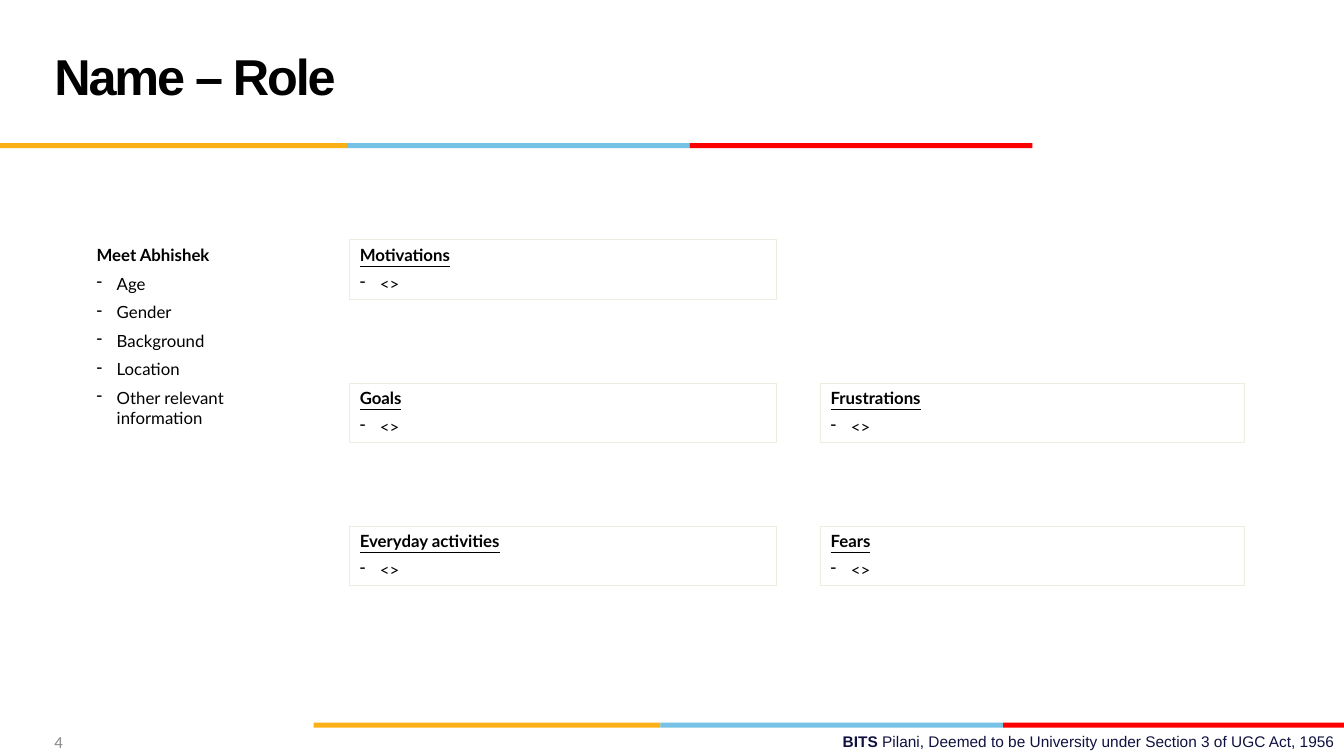
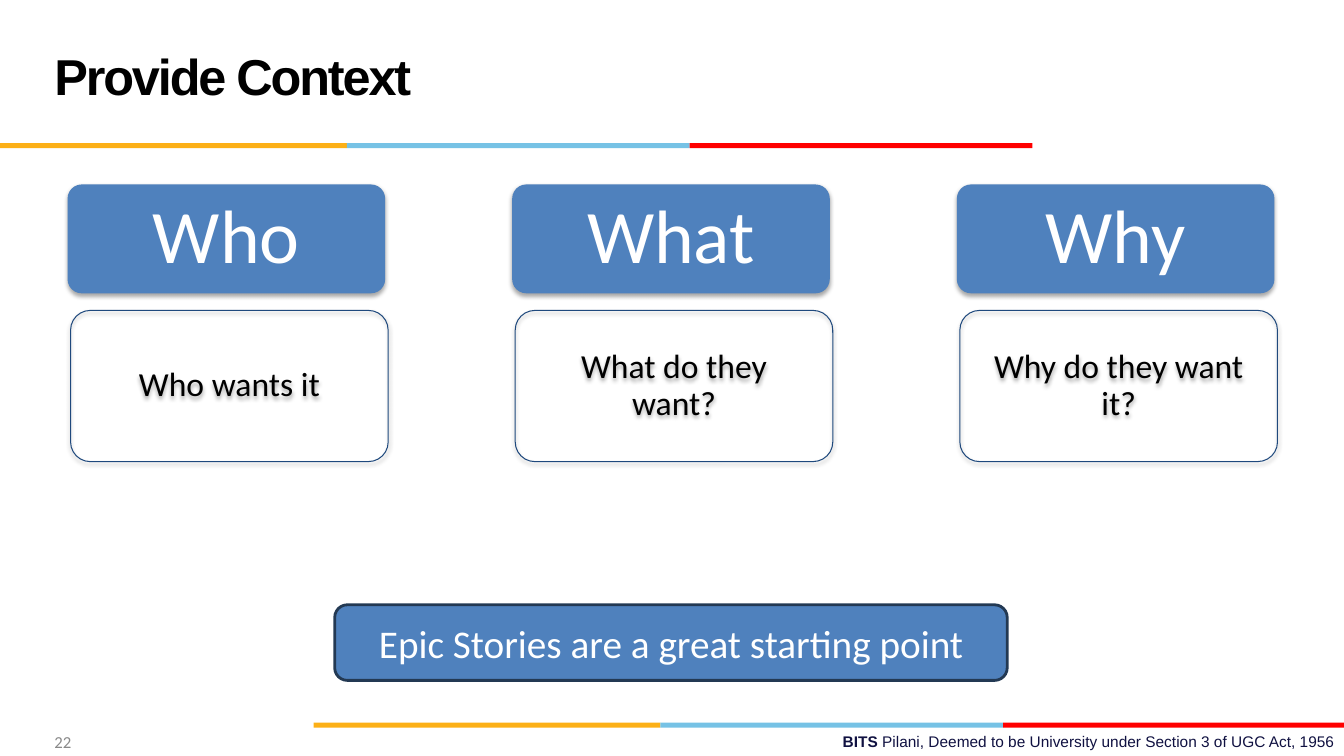
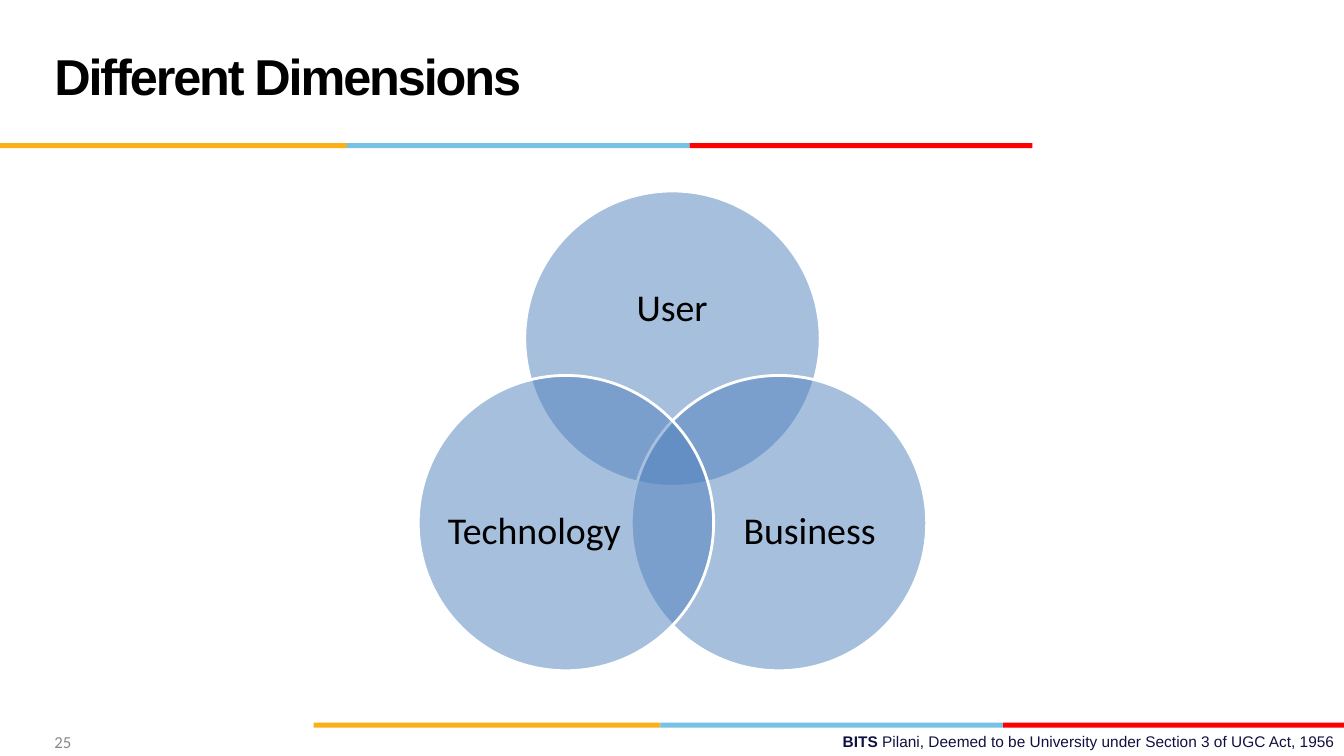
"""Builds three slides on a persona, story context and product dimensions."""
import math

from lxml import etree
from pptx import Presentation
from pptx.dml.color import RGBColor
from pptx.enum import shapes, text
from pptx.oxml.ns import qn
from pptx.util import Inches, Pt

BLACK = RGBColor(0x00, 0x00, 0x00)
WHITE = RGBColor(0xFF, 0xFF, 0xFF)
AMBER = RGBColor(0xFC, 0xB0, 0x17)
SKY = RGBColor(0x76, 0xC2, 0xE5)
RED = RGBColor(0xFF, 0x00, 0x00)
NAVY = RGBColor(0x10, 0x11, 0x41)
GREY = RGBColor(0x89, 0x89, 0x89)
IVORY = RGBColor(0xEE, 0xEC, 0xE1)
BLUE = RGBColor(0x4F, 0x81, 0xBD)
DARK_BLUE = RGBColor(0x1F, 0x49, 0x7D)
EDGE_BLUE = RGBColor(0x23, 0x39, 0x53)

RECT = shapes.MSO_SHAPE.RECTANGLE
ROUNDED = shapes.MSO_SHAPE.ROUNDED_RECTANGLE
OVAL = shapes.MSO_SHAPE.OVAL
TOP = text.MSO_ANCHOR.TOP
MIDDLE = text.MSO_ANCHOR.MIDDLE
LEFT = text.PP_ALIGN.LEFT
CENTER = text.PP_ALIGN.CENTER
RIGHT = text.PP_ALIGN.RIGHT


def add_box(s, kind, box, fill=None, line=None, weight=0.75):
    sp = s.shapes.add_shape(kind, *map(Inches, box))
    sp.shadow.inherit = False
    if fill is None:
        sp.fill.background()
    else:
        sp.fill.solid()
        sp.fill.fore_color.rgb = fill
    if line is None:
        sp.line.fill.background()
    else:
        sp.line.color.rgb = line
        sp.line.width = Pt(weight)
    return sp


def add_textbox(s, box):
    return s.shapes.add_textbox(*map(Inches, box))


def set_frame(sp, anchor, inset=None):
    tf = sp.text_frame
    tf.word_wrap = True
    tf.vertical_anchor = anchor
    if inset is not None:
        tf.margin_left = tf.margin_right = Inches(inset)
        tf.margin_top = tf.margin_bottom = Inches(inset)
    return tf


def style_run(r, size, font, color, bold=False, underline=False):
    r.font.size = Pt(size)
    r.font.name = font
    r.font.color.rgb = color
    r.font.bold = bold
    r.font.underline = underline


def write_line(sp, words, size, color, font="Calibri", align=CENTER,
               anchor=MIDDLE, inset=None, spacing=None, bold=False):
    p = set_frame(sp, anchor, inset).paragraphs[0]
    p.text = words
    p.alignment = align
    if spacing:
        p.line_spacing = spacing
    style_run(p.runs[0], size, font, color, bold)
    return p


def write_list(sp, heading, items, underline=False):
    tf = set_frame(sp, TOP)
    for i, words in enumerate([heading, *items]):
        p = tf.add_paragraph() if i else tf.paragraphs[0]
        p.text = words
        p.alignment = LEFT
        if i:
            pPr = p._p.get_or_add_pPr()
            pPr.set("marL", str(Inches(0.2)))
            pPr.set("indent", str(Inches(-0.2)))
            etree.SubElement(pPr, qn("a:buChar"), char="-")
            p.space_before = Pt(3)
        p.space_after = Pt(3)
        style_run(p.runs[0], 12, "Lato", BLACK, i == 0, underline and i == 0)


def add_shadow(sp):
    effects = sp.element.spPr.find(qn("a:effectLst"))
    shadow = etree.SubElement(
        effects, qn("a:outerShdw"), blurRad=str(Pt(3.1)), dist=str(Pt(1.8)),
        dir="5400000", rotWithShape="0")
    color = etree.SubElement(shadow, qn("a:srgbClr"), val=str(BLACK))
    etree.SubElement(color, qn("a:alpha"), val="35000")


def set_opacity(sp, percent):
    color = sp.element.spPr.find(qn("a:solidFill")).find(qn("a:srgbClr"))
    etree.SubElement(color, qn("a:alpha"), val=str(percent * 1000))


def add_band(s, left, top):
    for color, width in ((AMBER, 3.44), (SKY, 3.4), (RED, 3.4)):
        add_box(s, RECT, (left, top, width, 0.05), color)
        left += width


def add_footer(s):
    p = set_frame(add_textbox(s, (4.78, 7.21, 8.56, 0.29)), TOP).paragraphs[0]
    p.alignment = RIGHT
    for words, bold in (
            ("BITS ", True),
            ("Pilani, Deemed to be University under Section 3 of UGC Act, 1956",
             False)):
        r = p.add_run()
        r.text = words
        style_run(r, 11, "Arial", NAVY, bold)


def add_slide(prs, title, number):
    s = prs.slides.add_slide(prs.slide_layouts[6])
    add_band(s, 0, 1.42)
    add_band(s, 3.11, 7.17)
    add_footer(s)
    p = write_line(add_textbox(s, (0.44, 0.17, 9.22, 1.25)), title, 36, BLACK,
                   "Arial", LEFT, spacing=Pt(36), bold=True)
    p.runs[0]._r.get_or_add_rPr().set("spc", "-150")
    write_line(add_textbox(s, (0.44, 7.22, 3.11, 0.28)), str(number), 12, GREY,
               align=LEFT)
    return s


def add_persona(prs):
    s = add_slide(prs, "Name – Role", 4)
    write_list(add_textbox(s, (0.86, 2.38, 2.14, 1.94)), "Meet Abhishek",
               ["Age", "Gender", "Background", "Location",
                "Other relevant information"])
    columns = ((3.47, 4.23, ("Motivations", "Goals", "Everyday activities")),
               (8.14, 4.2, (None, "Frustrations", "Fears")))
    for left, width, headings in columns:
        for row, heading in enumerate(headings):
            if heading:
                box = (left, 2.38 + 1.42 * row, width, 0.59)
                sp = add_box(s, RECT, box, line=IVORY)
                write_list(sp, heading, ["<>"], underline=True)


def add_context(prs):
    s = add_slide(prs, "Provide Context", 22)
    questions = (("Who", "Who wants it"), ("What", "What do they want?"),
                 ("Why", "Why do they want it?"))
    for i, (word, question) in enumerate(questions):
        left = 0.67 + 4.41 * i
        head = add_box(s, ROUNDED, (left, 1.83, 3.15, 1.08), BLUE)
        body = add_box(s, ROUNDED, (left + 0.03, 3.08, 3.15, 1.5),
                       line=DARK_BLUE)
        for sp, words, size, color in ((head, word, 54, WHITE),
                                       (body, question, 24, BLACK)):
            sp.adjustments[0] = 0.13
            add_shadow(sp)
            write_line(sp, words, size, color, inset=0.25, spacing=0.9)
    banner = add_box(s, ROUNDED, (3.32, 6, 6.67, 0.75), BLUE, EDGE_BLUE, 2)
    write_line(banner, "Epic Stories are a great starting point", 28, WHITE)


def add_dimensions(prs):
    s = add_slide(prs, "Different Dimensions", 25)
    size, offset = 2.93, 1.22
    dimensions = (("User", -90, (5.59, 2.41, 2.15, 1.32)),
                  ("Business", 30, (7.15, 4.48, 1.76, 1.61)),
                  ("Technology", 150, (4.42, 4.48, 1.76, 1.61)))
    for name, degrees, label_box in dimensions:
        angle = math.radians(degrees)
        left = 6.67 + offset * math.cos(angle) - size / 2
        top = 4.58 + offset * math.sin(angle) - size / 2
        circle = add_box(s, OVAL, (left, top, size, size), BLUE, WHITE, 2)
        set_opacity(circle, 50)
        write_line(add_textbox(s, label_box), name, 27, BLACK, inset=0,
                   spacing=0.9)


def main():
    prs = Presentation()
    prs.slide_width = Inches(13.33)
    prs.slide_height = Inches(7.5)
    add_persona(prs)
    add_context(prs)
    add_dimensions(prs)
    prs.save("out.pptx")


if __name__ == "__main__":
    main()
